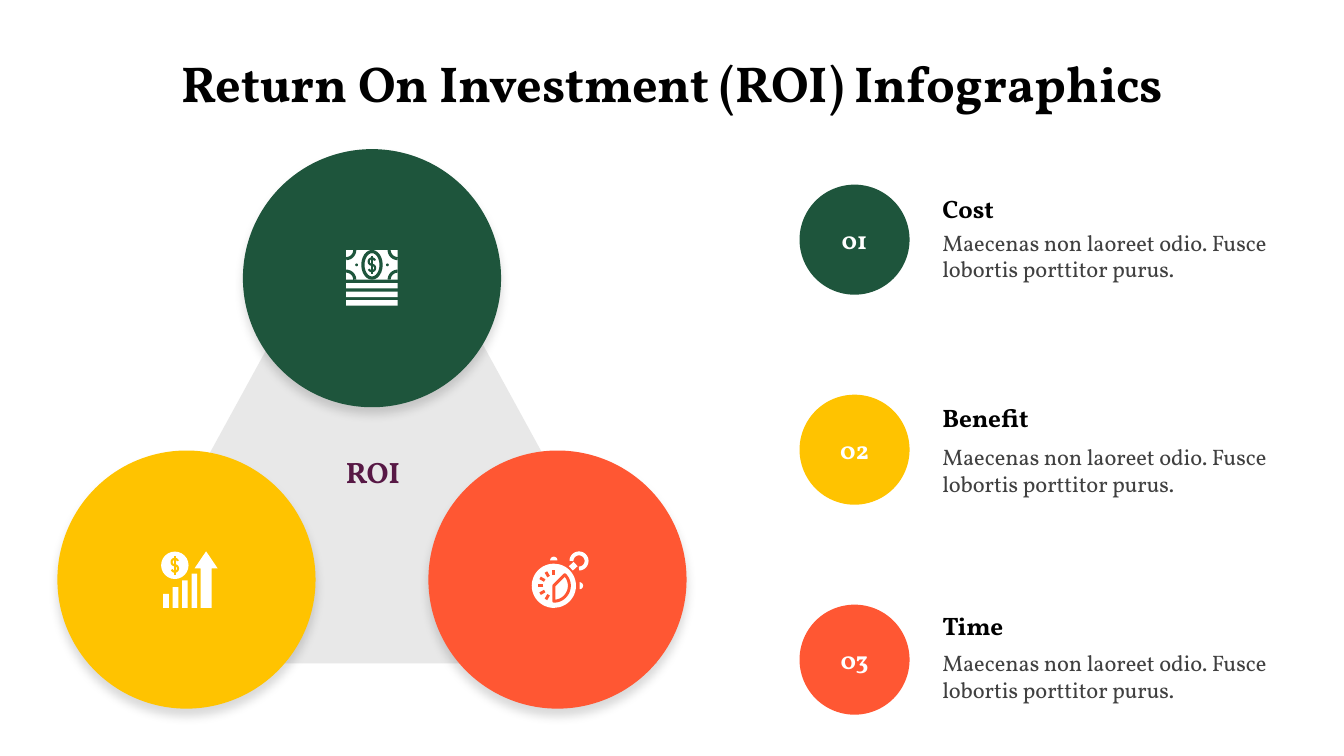
from dataclasses import dataclass
from math import cos, radians, sin

from lxml import etree
from pptx import Presentation
from pptx.dml.color import RGBColor
from pptx.enum.shapes import MSO_SHAPE as Shape
from pptx.enum.text import MSO_ANCHOR as Anchor, MSO_AUTO_SIZE as AutoSize, PP_ALIGN as Align
from pptx.oxml import parse_xml
from pptx.oxml.ns import nsdecls, qn
from pptx.util import Pt


@dataclass(frozen=True)
class Theme:
    """Colours, font and type sizes."""
    font: str = "Vollkorn"
    green: str = "1E553C"
    yellow: str = "FFC300"
    orange: str = "FF5733"
    gray: str = "D9D9D9"
    plum: str = "571845"
    white: str = "FFFFFF"
    black: str = "000000"
    body_ink: str = "404040"
    title: int = 36
    center: int = 21
    heading: int = 18
    body: int = 16


def arc(x, y, radius, start, end):
    """Return points along an arc, with angles clockwise from the right."""
    steps = 24
    angles = [radians(start + (end - start) * i / steps) for i in range(steps + 1)]
    return [(x + radius * cos(a), y + radius * sin(a)) for a in angles]


class Painter:
    """Draws themed elements on the current slide around a movable origin."""

    def __init__(self, slide, theme):
        self.slide = slide
        self.theme = theme
        self.origin = (0, 0)

    def paint(self, shape, fill=None, line=None, width=1):
        """Set fill and line and remove the default shadow."""
        shape.shadow.inherit = False
        if fill:
            shape.fill.solid()
            shape.fill.fore_color.rgb = RGBColor.from_string(fill)
        else:
            shape.fill.background()
        if line:
            shape.line.color.rgb = RGBColor.from_string(line)
            shape.line.width = Pt(width)
        else:
            shape.line.fill.background()
        return shape

    def preset(self, kind, x, y, width, height, fill, line=None, line_width=1):
        """Add a preset shape placed from the origin."""
        left, top = self.origin
        shape = self.slide.shapes.add_shape(
            kind, Pt(left + x), Pt(top + y), Pt(width), Pt(height))
        return self.paint(shape, fill, line, line_width)

    def disc(self, x, y, radius, fill):
        """Add a circle by its centre."""
        return self.preset(Shape.OVAL, x - radius, y - radius, 2 * radius, 2 * radius, fill)

    def outline(self, points, fill=None, line=None, width=1, close=False):
        """Add a freeform through points placed from the origin."""
        left, top = self.origin
        places = [(Pt(left + x), Pt(top + y)) for x, y in points]
        builder = self.slide.shapes.build_freeform(*places[0], scale=1.0)
        builder.add_line_segments(places[1:], close=close)
        return self.paint(builder.convert_to_shape(), fill, line, width)

    def dollar(self, x, y, color):
        """Add a dollar sign made of two strokes."""
        upper = arc(x, y - 2.3, 2.3, -20, -270)
        lower = arc(x, y + 2.3, 2.3, -90, 160)
        self.outline(upper + lower, line=color, width=1.5)
        self.outline([(x, y - 6.6), (x, y + 6.6)], line=color, width=1.4)

    def add_text(self, frame, text, size, color, bold=True, align=Align.LEFT,
                 anchor=Anchor.MIDDLE, inset=7.2):
        """Put one run into a text frame."""
        frame.word_wrap = True
        frame.vertical_anchor = anchor
        frame.margin_left = frame.margin_right = Pt(7.2)
        frame.margin_top = frame.margin_bottom = Pt(inset)
        paragraph = frame.paragraphs[0]
        paragraph.alignment = align
        run = paragraph.add_run()
        run.text = text
        run.font.name = self.theme.font
        run.font.size = Pt(size)
        run.font.bold = bold
        run.font.color.rgb = RGBColor.from_string(color)

    def label(self, x, y, width, height, text, size, color, grow=False, **style):
        """Add a text box."""
        box = self.slide.shapes.add_textbox(Pt(x), Pt(y), Pt(width), Pt(height))
        if grow:
            style.update(anchor=Anchor.TOP, inset=3.6)
        self.add_text(box.text_frame, text, size, color, **style)
        box.text_frame.auto_size = AutoSize.SHAPE_TO_FIT_TEXT if grow else AutoSize.NONE

    def triangle(self, x, y, width, height):
        """Add the translucent triangle."""
        shape = self.preset(Shape.ISOSCELES_TRIANGLE, x, y, width, height, self.theme.gray)
        color = shape.element.spPr.find(qn("a:solidFill"))[0]
        etree.SubElement(color, qn("a:alpha"), val="60000")

    def big_disc(self, x, y, fill):
        """Add a large circle with a soft shadow."""
        shape = self.disc(x, y, 92.2, fill)
        effects = shape.element.spPr.find(qn("a:effectLst"))
        effects.append(parse_xml(
            f'<a:outerShdw {nsdecls("a")} blurRad="{Pt(6.8)}" dist="{Pt(5.2)}" dir="5400000" '
            'algn="t" rotWithShape="0"><a:srgbClr val="000000"><a:alpha val="15000"/>'
            '</a:srgbClr></a:outerShdw>'))

    def money_icon(self, color):
        """Draw a banknote on a stack."""
        white = self.theme.white
        middle = -9.5
        self.preset(Shape.RECTANGLE, -18.4, -20.1, 36.8, 21.2, white)
        for x, y, start in ((-18.4, -20.1, 0), (18.4, -20.1, 90),
                            (18.4, 1.1, 180), (-18.4, 1.1, 270)):
            self.outline(arc(x, y, 6.1, start, start + 90), line=color, width=2.2)
        self.preset(Shape.OVAL, -6.5, middle - 9.5, 13, 19, white, color, 2.3)
        self.dollar(0, middle, color)
        for x in (-11, 11):
            self.disc(x, middle, 1, color)
        for i in range(3):
            self.preset(Shape.RECTANGLE, -18.4, 3.5 + 6.1 * i, 36.8, 3.9, white)

    def growth_icon(self, color):
        """Draw a coin, rising bars and an arrow."""
        white = self.theme.white
        self.disc(-8.3, -10.2, 9.8, white)
        self.dollar(-8.3, -10.2, color)
        for i in range(4):
            height = 10 + 4.8 * i
            self.preset(Shape.RECTANGLE, -16.6 + 6.75 * i, 20.2 - height, 4, height, white)
        arrow = self.preset(Shape.UP_ARROW, 5.8, -20.2, 16.4, 40.4, white)
        arrow.adjustments[0] = 0.48
        arrow.adjustments[1] = 0.74

    def stopwatch_icon(self, color):
        """Draw a stopwatch."""
        white = self.theme.white
        x, y = -2.6, 4.4
        self.disc(x, y, 15.8, white)
        self.outline([(x, y)] + arc(x, y, 11.1, -45, 90), line=color, width=2.1, close=True)
        for angle in range(120, 271, 30):
            ends = [arc(x, y, radius, angle, angle)[0] for radius in (7.5, 11.3)]
            self.outline(ends, line=color, width=2.1)
        self.outline(arc(x, -13.7, 2.6, 180, 360), fill=white, close=True)
        self.outline(arc(15.8, y, 2.5, -90, 90), fill=white, close=True)
        self.outline(arc(15.4, -13.3, 5.4, 180, 450), line=white, width=2.8)
        self.outline([(9.6, -8), (13, -11.1)], line=white, width=4.2)


def main():
    """Build and save the slide."""
    theme = Theme()
    presentation = Presentation()
    presentation.slide_width, presentation.slide_height = Pt(960), Pt(540)
    slide = presentation.slides.add_slide(presentation.slide_layouts[6])
    painter = Painter(slide, theme)

    painter.triangle(67.7, 106.6, 401.8, 367.2)
    for x, y, color, draw_icon in (
            (133.2, 414, theme.yellow, painter.growth_icon),
            (398.2, 414, theme.orange, painter.stopwatch_icon),
            (265.7, 198.7, theme.green, painter.money_icon)):
        painter.origin = (x, y)
        painter.big_disc(0, 0, color)
        draw_icon(color)
    painter.origin = (0, 0)
    painter.label(226, 321.8, 80.6, 30.2, "ROI", theme.center, theme.plum, align=Align.CENTER)

    body = "Maecenas non laoreet odio. Fusce lobortis porttitor purus."
    for i, (heading, color, body_top) in enumerate((
            ("Cost", theme.green, 159.8),
            ("Benefit", theme.yellow, 313.2),
            ("Time", theme.orange, 460))):
        number = painter.disc(610.4, 171.2 + 150 * i, 39.3, color)
        painter.add_text(number.text_frame, f"{i + 1:02}", theme.heading, theme.white,
                         align=Align.CENTER)
        painter.label(666, 133.9 + 149 * i, 225.4, 30.2, heading, theme.heading, theme.black)
        painter.label(666, body_top, 286.6, 46, body, theme.body, theme.body_ink,
                      grow=True, bold=False)

    painter.label(0, 33.8, 960, 51, "Return On Investment (ROI) Infographics",
                  theme.title, theme.black, grow=True, align=Align.CENTER)
    presentation.save("out.pptx")


if __name__ == "__main__":
    main()
